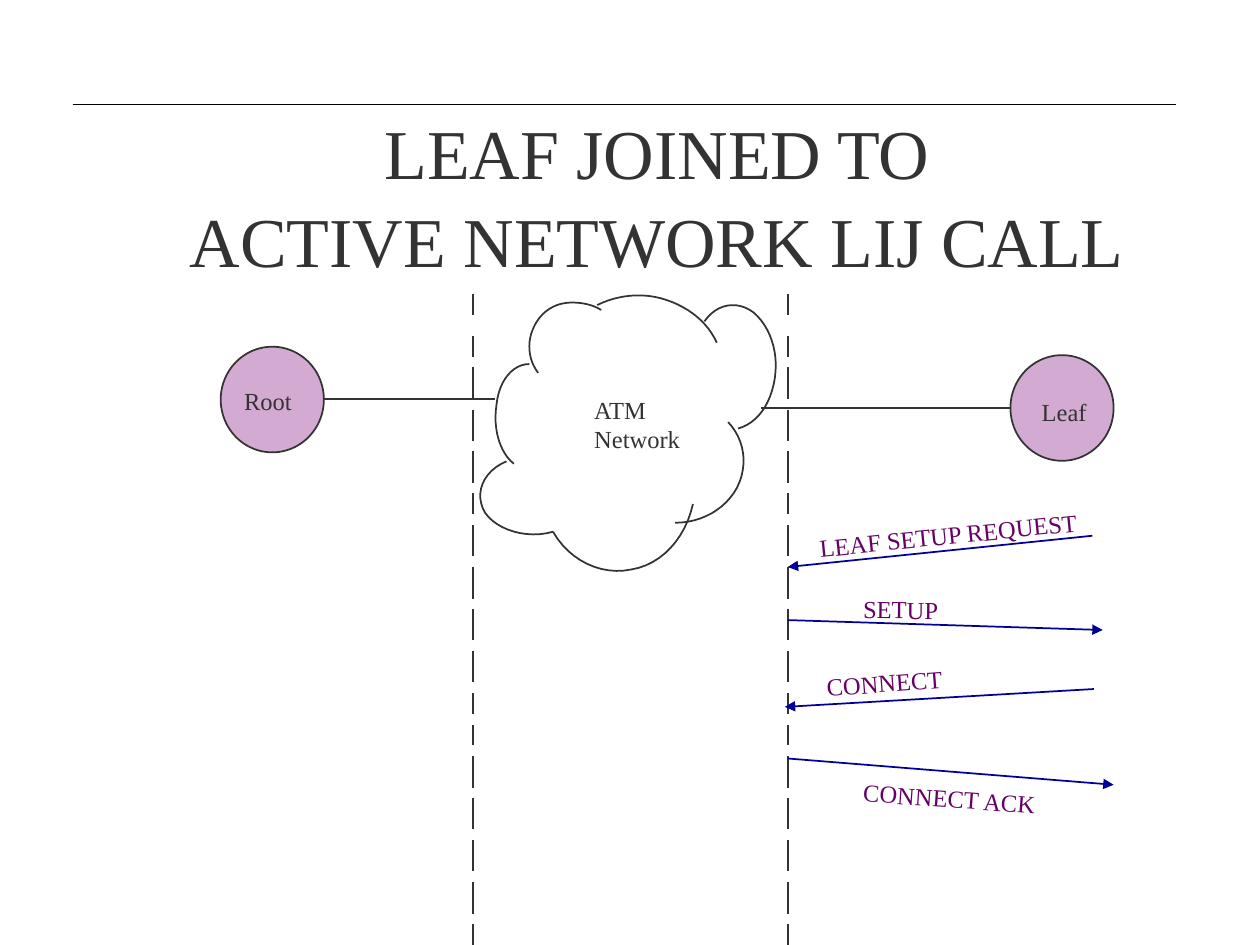
from lxml import etree
from pptx import Presentation
from pptx.dml.color import RGBColor
from pptx.enum.shapes import MSO_CONNECTOR, MSO_SHAPE
from pptx.enum.text import MSO_AUTO_SIZE, PP_ALIGN
from pptx.oxml.ns import qn
from pptx.util import Cm, Pt

STRAIGHT = MSO_CONNECTOR.STRAIGHT
OVAL = MSO_SHAPE.OVAL
NO_AUTOSIZE = MSO_AUTO_SIZE.NONE
LEFT, CENTER = PP_ALIGN.LEFT, PP_ALIGN.CENTER

FONT = "Times New Roman"
INK, PLUM, LILAC, NAVY = "333333", "660066", "D2AAD2", "000099"

DASH_UNIT = 2.54 / 12
DASH_TOP = 28
DASHES = [2, 2, 3, 3, 3, 2, 3, 3, 3, 3, 2, 2, 3, 3, 3, 3, 2]

CLOUD_ARCS = [
    [(11.53, 6.1), (11.2, 6.1), (10.92, 6.27), (10.77, 6.58),
     (10.62, 6.88), (10.64, 7.24), (10.85, 7.52)],
    [(10.67, 7.34), (10.34, 7.34), (10.06, 7.67), (10.01, 8.15),
     (9.93, 8.64), (10.08, 9.14), (10.36, 9.35)],
    [(11.53, 6.1), (11.76, 6.1), (11.96, 6.15), (12.12, 6.25)],
    [(12.04, 6.15), (12.47, 5.94), (12.98, 5.89), (13.44, 6.05),
     (13.89, 6.2), (14.27, 6.5), (14.45, 6.91)],
    [(10.21, 9.3), (9.73, 9.5), (9.55, 9.96), (9.78, 10.34),
     (10.03, 10.69), (10.62, 10.87), (11.15, 10.72)],
    [(11.15, 10.72), (11.48, 11.3), (12.12, 11.61), (12.73, 11.48),
     (13.34, 11.38), (13.82, 10.85), (13.97, 10.16)],
    [(13.61, 10.54), (14.15, 10.54), (14.63, 10.26), (14.86, 9.83),
     (15.09, 9.37), (15.01, 8.86), (14.68, 8.51)],
    [(14.2, 6.48), (14.45, 6.12), (14.86, 6.05), (15.19, 6.3),
     (15.52, 6.58), (15.7, 7.09), (15.62, 7.62),
     (15.54, 8.15), (15.27, 8.53), (14.88, 8.64)],
]

MESSAGES = [
    ("LEAF SETUP REQUEST", (16.26, 10.36, 5.74, 0.86), -5.8, (22.02, 10.8, 15.88, 11.43)),
    ("SETUP", (17.15, 11.86, 2.01, 0.86), 0.6, (15.88, 12.5, 22.23, 12.7)),
    ("CONNECT", (16.41, 13.34, 2.84, 0.86), -4.4, (22.05, 13.89, 15.82, 14.25)),
    ("CONNECT ACK", (17.15, 15.67, 4.01, 0.86), 4.1, (15.88, 15.29, 22.45, 15.82)),
]


def rgb(value):
    """Return the colour for a hex string."""
    return RGBColor.from_string(value)


def add_line(s, ends, color=INK, width=1, arrow=False):
    """Draw a straight line, with an optional arrowhead at its end."""
    line = s.shapes.add_connector(STRAIGHT, *map(Cm, ends))
    line.line.color.rgb = rgb(color)
    line.line.width = Pt(width)
    if arrow:
        etree.SubElement(line.line._get_or_add_ln(), qn("a:tailEnd"), type="triangle")
    etree.SubElement(line._element.spPr, qn("a:effectLst"))


def add_text(s, lines, box, size=14, color=INK, align=LEFT, spacing=1.0, angle=0):
    """Add an unwrapped text box with one paragraph for each line."""
    sp = s.shapes.add_textbox(*map(Cm, box))
    sp.rotation = angle
    tf = sp.text_frame
    tf.word_wrap = False
    tf.auto_size = NO_AUTOSIZE
    tf.text = "\n".join(lines)
    for p in tf.paragraphs:
        p.alignment = align
        p.line_spacing = spacing
        p.font.name = FONT
        p.font.size = Pt(size)
        p.font.color.rgb = rgb(color)


def add_node(s, left, top):
    """Add a round network node."""
    sp = s.shapes.add_shape(OVAL, Cm(left), Cm(top), Cm(2.08), Cm(2.13))
    sp.shadow.inherit = False
    sp.fill.solid()
    sp.fill.fore_color.rgb = rgb(LILAC)
    sp.line.color.rgb = rgb(INK)
    sp.line.width = Pt(1)


def add_dashes(s, x):
    """Draw a vertical boundary as a column of dashes."""
    start = DASH_TOP
    for i, length in enumerate(DASHES):
        add_line(s, (x, start * DASH_UNIT, x, (start + length) * DASH_UNIT))
        start += length + (2 if i == 0 else 1)


def bezier(a, b, c, d, steps=12):
    """Return points along a cubic curve, without its start."""
    points = []
    for i in range(1, steps + 1):
        t = i / steps
        u = 1 - t
        weights = (u ** 3, 3 * u * u * t, 3 * u * t * t, t ** 3)
        points.append(tuple(
            Cm(sum(w * v for w, v in zip(weights, axis))) for axis in zip(a, b, c, d)))
    return points


def add_arc(s, knots):
    """Draw one open curved edge of the cloud."""
    points = []
    for i in range(0, len(knots) - 1, 3):
        points += bezier(*knots[i:i + 4])
    builder = s.shapes.build_freeform(*map(Cm, knots[0]))
    builder.add_line_segments(points, close=False)
    sp = builder.convert_to_shape()
    sp.shadow.inherit = False
    sp.fill.background()
    sp.line.color.rgb = rgb(INK)
    sp.line.width = Pt(1)


def main():
    """Build the slide and save it."""
    prs = Presentation()
    prs.slide_width, prs.slide_height = Cm(25.4), Cm(19.05)
    s = prs.slides.add_slide(prs.slide_layouts[6])

    add_line(s, (1.47, 2.11, 23.7, 2.11), "000000", 0.75)
    add_text(s, ["LEAF JOINED TO", "ACTIVE NETWORK LIJ CALL"],
             (3.4, 2, 19.69, 3.66), 40, align=CENTER, spacing=1.05)
    for x in (9.53, 15.88):
        add_dashes(s, x)
    for knots in CLOUD_ARCS:
        add_arc(s, knots)
    add_node(s, 4.45, 6.99)
    add_node(s, 20.37, 7.16)
    add_line(s, (6.53, 8.05, 9.98, 8.05))
    add_line(s, (20.37, 8.23, 15.34, 8.23))
    add_text(s, ["ATM", "Network"], (11.73, 7.84, 2.24, 1.45))
    add_text(s, ["Root"], (4.67, 7.65, 1.47, 0.86))
    add_text(s, ["Leaf"], (20.75, 7.87, 1.4, 0.86))
    for label, box, angle, ends in MESSAGES:
        add_text(s, [label], box, color=PLUM, angle=angle)
        add_line(s, ends, NAVY, arrow=True)

    prs.save("out.pptx")


if __name__ == "__main__":
    main()
